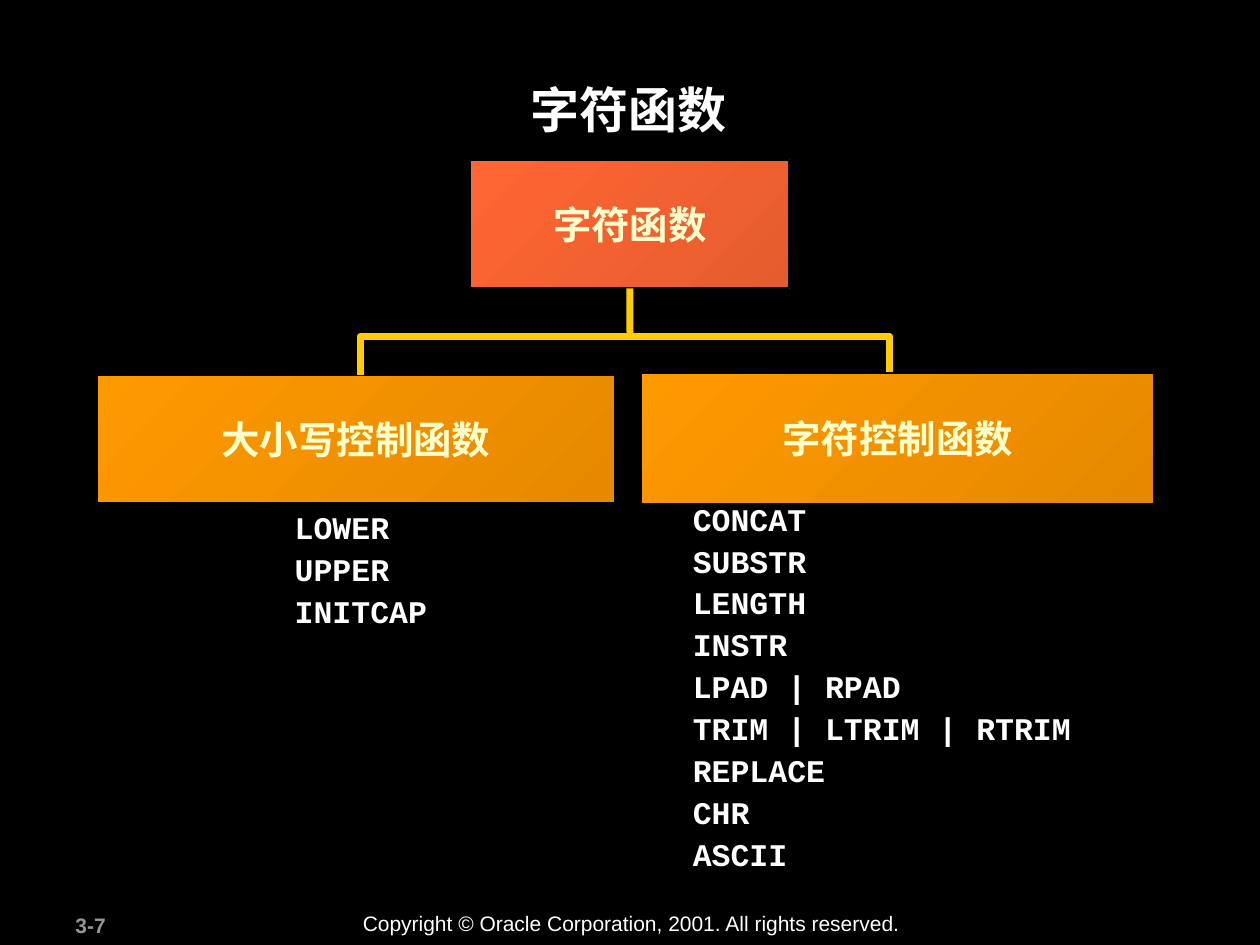
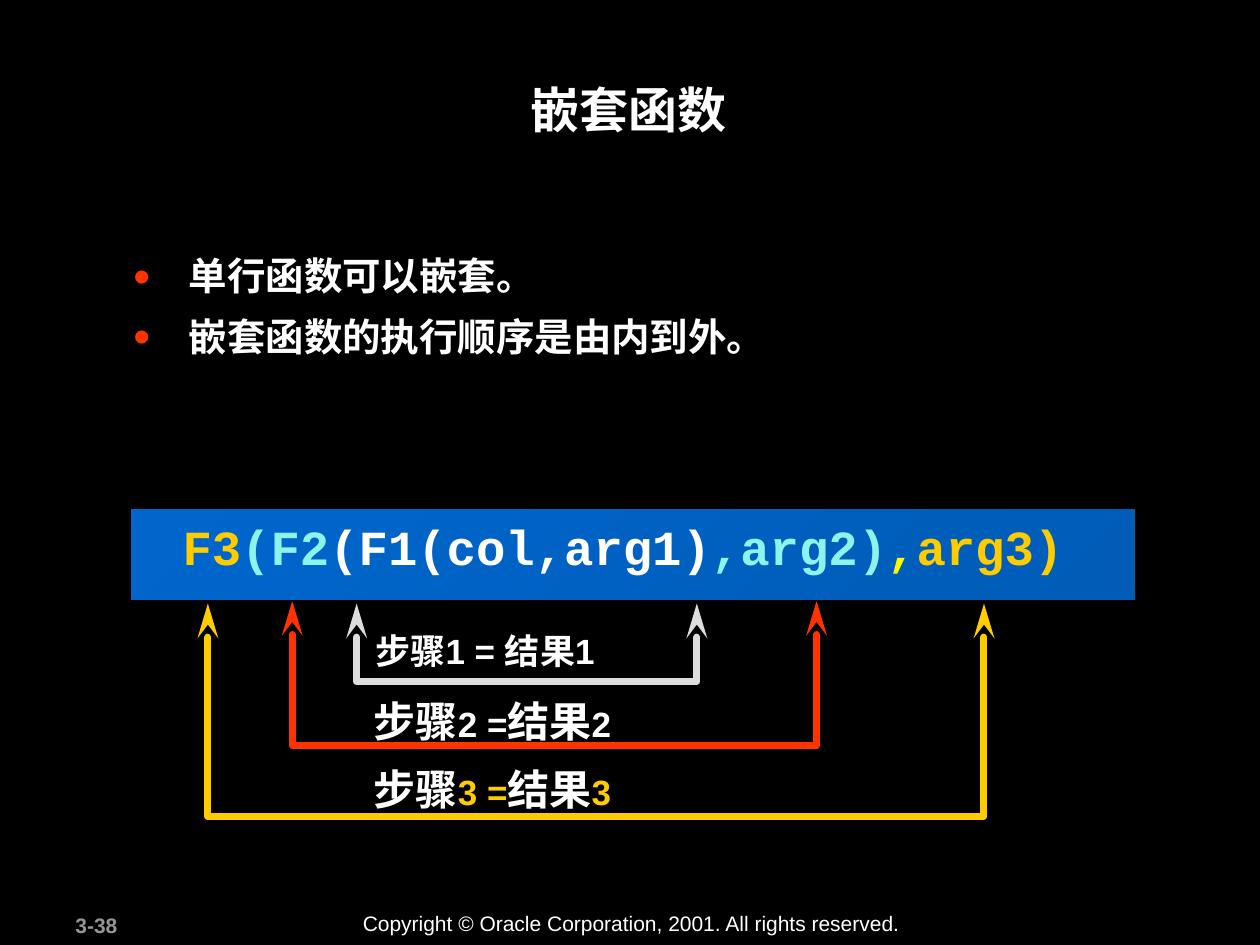
"""Build two slides on SQL character functions and nested functions."""
from lxml import etree
from pptx import Presentation
from pptx import util as u
from pptx.dml import color
from pptx.enum import shapes, text
from pptx.oxml import ns

Pt = u.Pt
COLORS = {
    "background": "000000", "white": "FFFFFF", "grey": "969696", "cream": "FFFFCC",
    "gold": "FFCC00", "red": "FF3300", "silver": "DDDDDD", "aqua": "8CF4EA", "yellow": "FAFD00",
    "coral": "FF6633", "coral_dark": "E55C2E", "orange": "FF9900", "orange_dark": "E58900",
    "blue": "0066CC", "blue_dark": "005CB7",
}
RGB = {name: color.RGBColor.from_string(value) for name, value in COLORS.items()}
CODE = "Courier New"
SERIF = "Times New Roman"


def write(frame, lines, size=20, tint="white", font="Arial", bold=True,
          align=text.PP_ALIGN.LEFT, gap=0, spacing=None):
    """Write lines of (words, tint, size, font) runs, the last three optional."""
    for row, runs in enumerate(lines):
        paragraph = frame.paragraphs[0] if row == 0 else frame.add_paragraph()
        paragraph.alignment = align
        paragraph.line_spacing = spacing
        if row:
            paragraph.space_before = Pt(gap)
        for words, *style in [(runs,)] if isinstance(runs, str) else runs:
            run_tint, run_size, run_font = style + [tint, size, font][len(style):]
            run = paragraph.add_run()
            run.text = words
            run.font.size = Pt(run_size)
            run.font.name = run_font
            run.font.bold = bold
            run.font.color.rgb = RGB[run_tint]


def add_text(slide, box, lines, wrap=True, **style):
    """Add a text box at (left, top, width, height) and return its frame."""
    frame = slide.shapes.add_textbox(*map(Pt, box)).text_frame
    frame.word_wrap = wrap
    write(frame, lines, **style)
    return frame


deck = Presentation()
deck.slide_width, deck.slide_height = Pt(720), Pt(540)
backdrop = deck.slide_master.background.fill
backdrop.solid()
backdrop.fore_color.rgb = RGB["background"]

slides = []
for title, page in [("字符函数", "3-7"), ("嵌套函数", "3-38")]:
    slide = deck.slides.add_slide(deck.slide_layouts[6])
    slides.append(slide)
    add_text(slide, (36, 517.7, 75.6, 21.6), [page], size=12, tint="grey")
    add_text(slide, (200.2, 517, 322.6, 21.6),
             ["Copyright © Oracle Corporation, 2001. All rights reserved."], size=12, bold=False)
    add_text(slide, (67.7, 41.8, 583.2, 69.1), [title], size=28, align=text.PP_ALIGN.CENTER)
functions, nesting = slides

brackets = [
    (functions, 205.8, 508.4, 233, 192.2, "gold", False),
    (nesting, 118.8, 562.3, 344.9, 466.6, "gold", True),
    (nesting, 167, 466.6, 343.4, 426.2, "red", True),
    (nesting, 203.8, 398.2, 344.9, 389.5, "silver", True),
]
for slide, left, right, end, bar, tint, arrows in brackets:
    builder = slide.shapes.build_freeform(Pt(left), Pt(end))
    builder.add_line_segments(
        [(Pt(left), Pt(bar)), (Pt(right), Pt(bar)), (Pt(right), Pt(end))], close=False)
    bracket = builder.convert_to_shape()
    bracket.shadow.inherit = False
    bracket.fill.background()
    bracket.line.color.rgb = RGB[tint]
    bracket.line.width = Pt(4)
    stroke = bracket.line._get_or_add_ln()
    etree.SubElement(stroke, ns.qn("a:round"))
    if arrows:
        stroke.set("cap", "rnd")
        for tip in ("a:headEnd", "a:tailEnd"):
            etree.SubElement(stroke, ns.qn(tip), type="stealth", w="med", len="lg")

panels = [
    (functions, "字符函数", (268.9, 91.4, 182.2, 73.4), "coral"),
    (functions, "大小写控制函数", (55.4, 214.6, 295.9, 72.7), "orange"),
    (functions, "字符控制函数", (366.5, 213.1, 293, 74.9), "orange"),
    (nesting, "", (74.2, 290.2, 574.6, 53.3), "blue"),
]
drawn_panels = []
for slide, label, box, tint in panels:
    panel = slide.shapes.add_shape(shapes.MSO_SHAPE.RECTANGLE, *map(Pt, box))
    drawn_panels.append(panel)
    panel.shadow.inherit = False
    panel.fill.gradient()
    panel.fill.gradient_angle = 315
    for stop, shade, position in zip(panel.fill.gradient_stops, (tint, tint + "_dark"), (0, 1)):
        stop.color.rgb = RGB[shade]
        stop.position = position
    panel.line.color.rgb = RGB["background"]
    panel.line.width = Pt(1)
    if label:
        panel.text_frame.word_wrap = False
        panel.text_frame.vertical_anchor = text.MSO_ANCHOR.MIDDLE
        write(panel.text_frame, [label], size=22, tint="cream", align=text.PP_ALIGN.CENTER)

trunk = functions.shapes.add_connector(
    shapes.MSO_CONNECTOR.STRAIGHT, Pt(360), Pt(190.8), Pt(360), Pt(164.8))
trunk.end_connect(drawn_panels[0], 2)
trunk.line.color.rgb = RGB["gold"]
trunk.line.width = Pt(4)
etree.SubElement(trunk._element.spPr, ns.qn("a:effectLst"))

case_functions = ["LOWER", "UPPER", "INITCAP"]
character_functions = ["CONCAT", "SUBSTR", "LENGTH", "INSTR", "LPAD | RPAD",
                       "TRIM | LTRIM | RTRIM", "REPLACE", "CHR", "ASCII"]
for box, names in [((161.3, 289.4, 90, 74.9), case_functions),
                   ((388.8, 284.4, 266.4, 218.2), character_functions)]:
    add_text(functions, box, names, wrap=len(names) > 3, size=18, font=CODE, gap=4.5, spacing=0.9)

rules = add_text(nesting, (69.1, 142.6, 581.8, 67),
                 ["单行函数可以嵌套。", "嵌套函数的执行顺序是由内到外。"],
                 size=22, gap=9.6, spacing=0.95)
for rule in rules.paragraphs:
    properties = rule._p.get_or_add_pPr()
    properties.set("marL", str(Pt(31.7)))
    properties.set("indent", str(-Pt(31.7)))
    bullet_color = etree.SubElement(properties, ns.qn("a:buClr"))
    etree.SubElement(bullet_color, ns.qn("a:srgbClr"), val=COLORS["red"])
    etree.SubElement(properties, ns.qn("a:buSzPct"), val="125000")
    etree.SubElement(properties, ns.qn("a:buFont"), typeface="Arial")
    etree.SubElement(properties, ns.qn("a:buChar"), char="•")

nested_call = [("F3", "gold"), ("(F2", "aqua"), ("(F1(col,arg1)", "white"),
               (",arg2)", "aqua"), (",", "yellow"), ("arg3)", "gold")]
add_text(nesting, (97.2, 303.1, 517.7, 29.5), [nested_call], wrap=False,
         size=28, font=CODE, spacing=Pt(22))

add_text(nesting, (207.4, 356.4, 154, 31), ["步骤1 = 结果1"], wrap=False)
for number, top, tint in [("2", 393.8, "white"), ("3", 432.7, "gold")]:
    step = [("步骤", "white", 24, SERIF), (number + " =", tint),
            ("结果", "white", 24, SERIF), (number, tint)]
    add_text(nesting, (206.6, top, 166.3, 36), [step], wrap=False)

deck.save("out.pptx")
